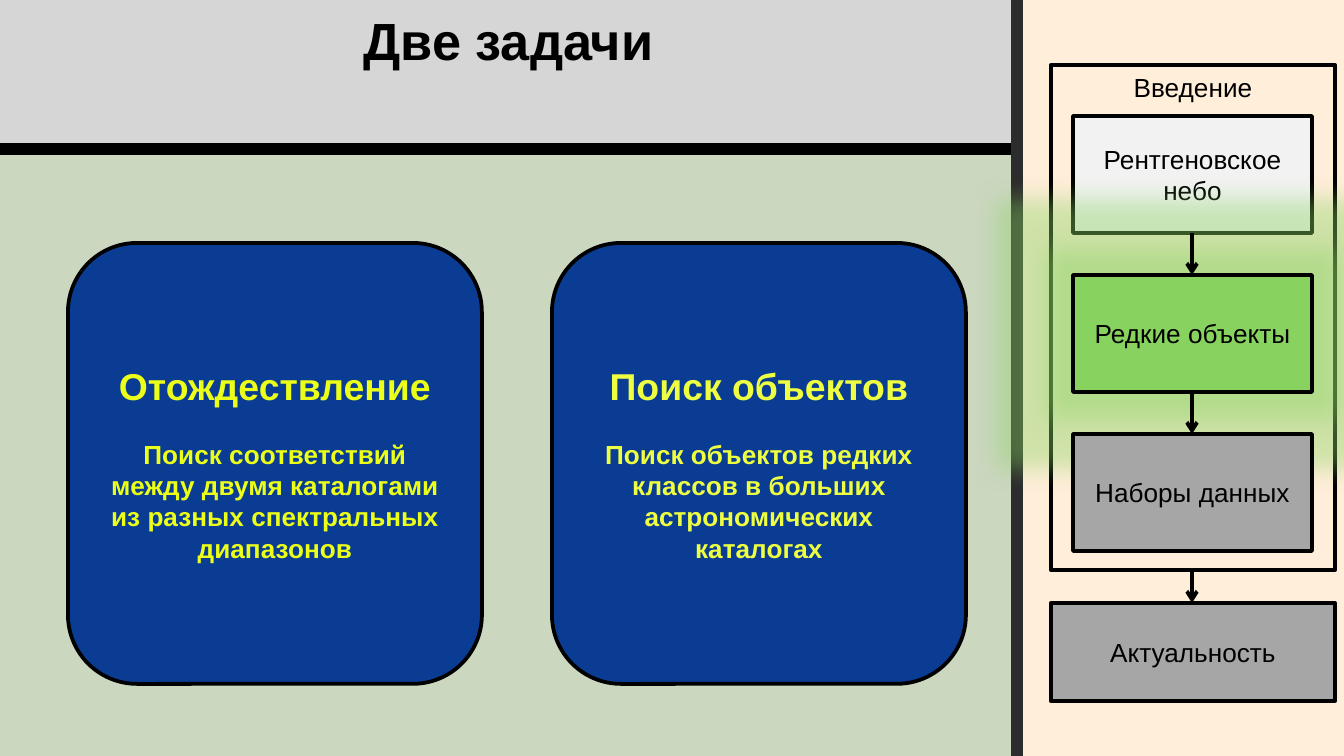
from lxml.etree import SubElement
from pptx import Presentation
from pptx.dml.color import RGBColor
from pptx.enum.shapes import MSO_CONNECTOR, MSO_SHAPE
from pptx.enum.text import MSO_ANCHOR, PP_ALIGN
from pptx.oxml.ns import qn
from pptx.util import Emu, Pt

EMU_PER_PX = 914400 / 134.4
FONT = "Arial"
COLORS = {
    "black": "000000",
    "sage": "CBD7BF",
    "header": "D6D6D6",
    "cream": "FFEED9",
    "divider": "2C2C2C",
    "visited": "F2F2F2",
    "active": "88D260",
    "upcoming": "A6A6A6",
    "navy": "093C92",
    "lime": "ECFF19",
    "lemon": "EEFF41",
}


def px(length):
    return Emu(round(length * EMU_PER_PX))


def rgb(name):
    return RGBColor.from_string(COLORS[name])


class SlideBuilder:
    def __init__(self, slide):
        self.slide = slide

    def box(self, left, top, width, height, fill, line="black", weight=2,
            kind=MSO_SHAPE.RECTANGLE):
        shape = self.slide.shapes.add_shape(
            kind, px(left), px(top), px(width), px(height))
        shape.shadow.inherit = False
        shape.fill.solid()
        shape.fill.fore_color.rgb = rgb(fill)
        shape.line.color.rgb = rgb(line)
        shape.line.width = Pt(weight)
        return shape

    def label(self, shape, text, size=14, color="black", bold=False,
              anchor=MSO_ANCHOR.MIDDLE):
        frame = shape.text_frame
        frame.word_wrap = True
        frame.vertical_anchor = anchor
        frame.text = text
        for paragraph in frame.paragraphs:
            paragraph.alignment = PP_ALIGN.CENTER
            font = paragraph.font
            font.name, font.size, font.bold = FONT, Pt(size), bold
            font.color.rgb = rgb(color)
        return frame

    def title(self, left, top, width, height, text):
        shape = self.slide.shapes.add_textbox(
            px(left), px(top), px(width), px(height))
        frame = self.label(shape, text, 28, bold=True, anchor=MSO_ANCHOR.TOP)
        frame.margin_top = frame.margin_bottom = px(13)

    def card(self, left, heading, body, color):
        shape = self.box(left, 243, 414, 441, "navy",
                         kind=MSO_SHAPE.ROUNDED_RECTANGLE)
        frame = self.label(shape, f"{heading}\n{body}", 14, color, bold=True)
        frame.paragraphs[0].font.size = Pt(20)
        frame.paragraphs[1].space_before = Pt(16)

    def arrow(self, x, top, bottom):
        connector = self.slide.shapes.add_connector(
            MSO_CONNECTOR.STRAIGHT, px(x), px(top), px(x), px(bottom))
        connector.line.color.rgb = rgb("black")
        connector.line.width = Pt(2)
        properties = connector._element.spPr
        SubElement(properties.find(qn("a:ln")), qn("a:tailEnd"), type="arrow")
        SubElement(properties, qn("a:effectLst"))

    def glow(self, shape, radius, color, opacity):
        effects = shape._element.spPr.find(qn("a:effectLst"))
        glow = SubElement(effects, qn("a:glow"), rad=str(px(radius)))
        tint = SubElement(glow, qn("a:srgbClr"), val=COLORS[color])
        SubElement(tint, qn("a:alpha"), val=str(opacity * 1000))


def main():
    presentation = Presentation()
    presentation.slide_width, presentation.slide_height = px(1344), px(756)
    builder = SlideBuilder(
        presentation.slides.add_slide(presentation.slide_layouts[6]))

    # Background, header and sidebar panels
    builder.box(0, -36, 1361, 792, "sage", "sage")
    builder.box(-19, -83, 1036, 232, "header", weight=6)
    builder.title(0, -5, 1017, 154, "Две задачи")
    builder.box(1017, -13, 341, 787, "cream", "divider", 6)

    # Sidebar: introduction with its steps
    section_left, section_width, section_top, section_height = 1051, 284, 65, 505
    center = section_left + section_width // 2
    section = builder.box(section_left, section_top, section_width,
                          section_height, "cream")
    builder.label(section, "Введение", anchor=MSO_ANCHOR.TOP)

    step_top, step_pitch, step_height = 116, 159, 117
    steps = [("Рентгеновское небо", "visited"), ("Редкие объекты", "active"),
             ("Наборы данных", "upcoming")]
    for index, (name, state) in enumerate(steps):
        top = step_top + index * step_pitch
        step = builder.box(1073, top, 239, step_height, state)
        builder.label(step, name)
        if state == "active":
            builder.glow(step, 50, "active", 40)
    for index in range(len(steps) - 1):
        top = step_top + index * step_pitch
        builder.arrow(center - 1, top + step_height, top + step_pitch)

    # Sidebar: next section
    next_top = 603
    next_section = builder.box(section_left, next_top, section_width, 98, "upcoming")
    builder.label(next_section, "Актуальность")
    builder.arrow(center - 1, section_top + section_height, next_top)

    # The two tasks
    builder.card(68, "Отождествление",
                 "Поиск соответствий между двумя каталогами "
                 "из разных спектральных диапазонов", "lime")
    builder.card(552, "Поиск объектов",
                 "Поиск объектов редких классов в больших "
                 "астрономических каталогах", "lemon")

    presentation.save("out.pptx")


if __name__ == "__main__":
    main()
